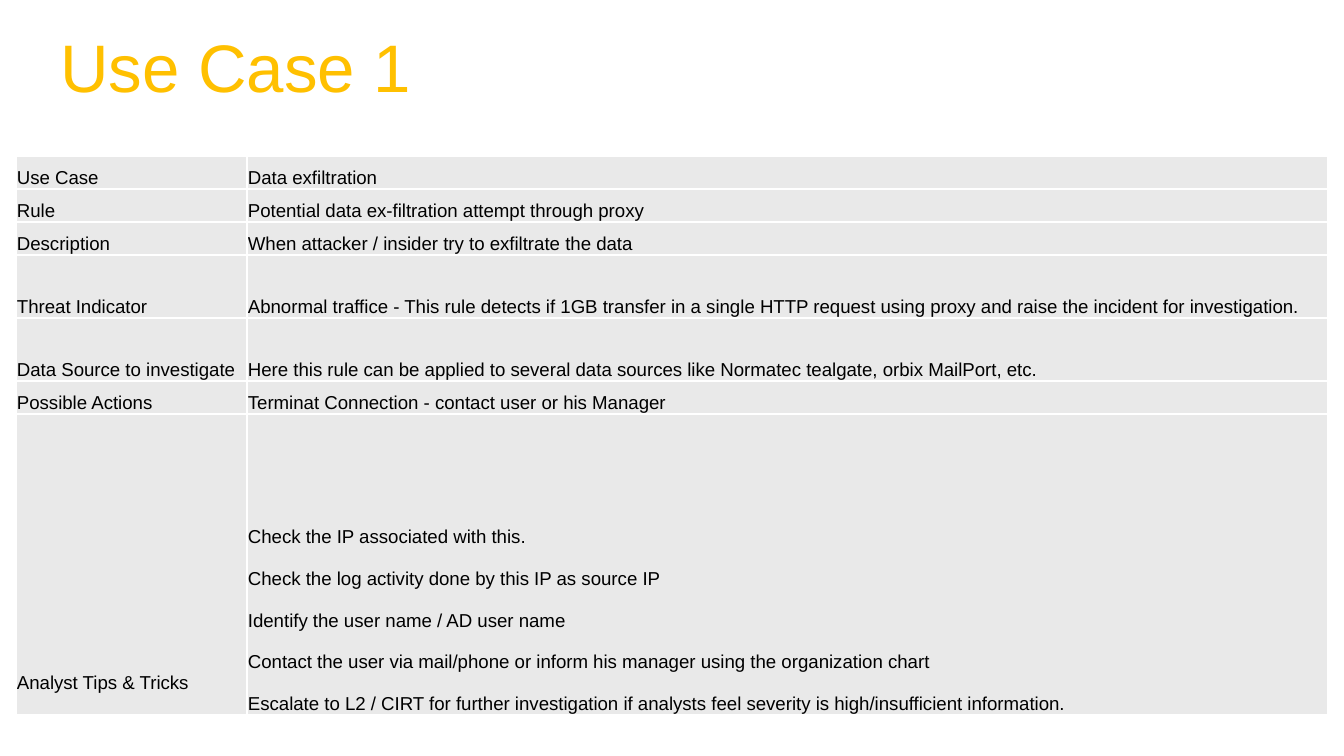
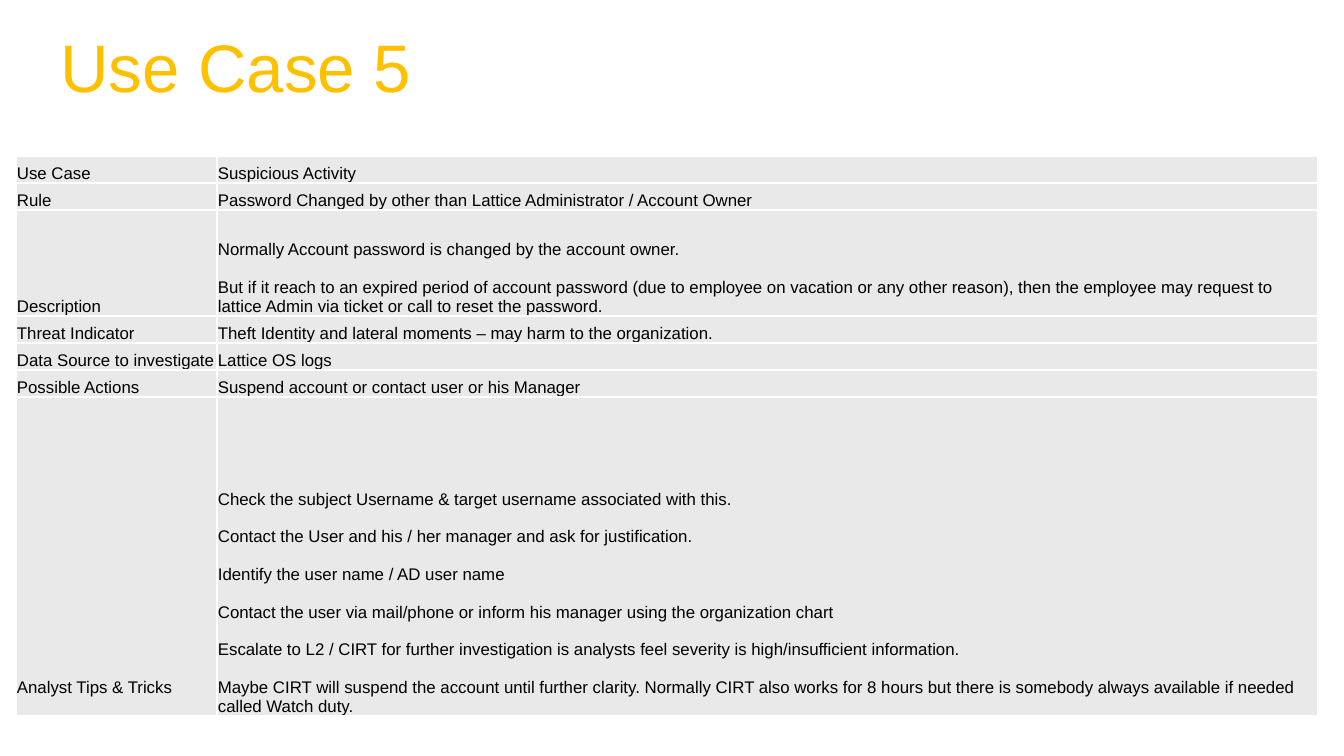
from lxml.etree import SubElement as Sub
from pptx import Presentation
from pptx.dml.color import RGBColor as Rgb
from pptx.enum.text import MSO_ANCHOR as Anchor
from pptx.oxml.ns import qn
from pptx.util import Pt

HEADS = ["Use Case", "Rule", "Description", "Threat Indicator",
         "Data Source to investigate", "Possible Actions", "Analyst Tips & Tricks"]
CASES = [
    {"title": "Use Case 1", "size": 10, "cols": [231, 1081],
     "rows": [33, 33, 33, 63, 63, 33, 301],
     "cells": [
         ["Data exfiltration"],
         ["Potential data ex-filtration attempt through proxy"],
         ["When attacker / insider try to exfiltrate the data"],
         ["Abnormal traffice - This rule detects if 1GB transfer in a single HTTP request "
          "using proxy and raise the incident for investigation."],
         ["Here this rule can be applied to several data sources like "
          "Normatec tealgate, orbix MailPort, etc."],
         ["Terminat Connection - contact user or his Manager"],
         ["Check the IP associated with this.",
          "Check the log activity done by this IP as source IP",
          "Identify the user name / AD user name",
          "Contact the user via mail/phone or inform his manager using the organization chart",
          "Escalate to L2 / CIRT for further investigation if analysts feel severity is "
          "high/insufficient information."],
     ]},
    {"title": "Use Case 5", "size": 9, "cols": [201, 1101],
     "rows": [27, 27, 106, 27, 27, 27, 319],
     "cells": [
         ["Suspicious Activity"],
         ["Password Changed by other than Lattice Administrator / Account Owner"],
         ["Normally Account password is changed by the account owner.",
          "But if it reach to an expired period of account password (due to employee on "
          "vacation or any other reason), then the employee may request to lattice Admin "
          "via ticket or call to reset the password."],
         ["Theft Identity and lateral moments – may harm to the organization."],
         ["Lattice OS logs"],
         ["Suspend account or contact user or his Manager"],
         ["Check the subject Username & target username associated with this.",
          "Contact the User and his / her manager and ask for justification.",
          "Identify the user name / AD user name",
          "Contact the user via mail/phone or inform his manager using the organization chart",
          "Escalate to L2 / CIRT for further investigation is analysts feel severity is "
          "high/insufficient information.",
          "Maybe CIRT will suspend the account until further clarity. Normally CIRT also "
          "works for 8 hours but there is somebody always available if needed called "
          "Watch duty."],
     ]},
]
HUES = {"title": "FFC000", "text": "000000", "cell": "E9E9E9", "rule": "FFFFFF"}
FONT = "Arial"
LINE = 1.12


def px(n):
    return round(n * 914400 / 134.4)


def put(item, **vals):
    for key, val in vals.items():
        setattr(item, key, val)


def write(frame, lines, size, hue, gap=0, first=0):
    for i, line in enumerate(lines):
        para = frame.add_paragraph() if i else frame.paragraphs[0]
        para.space_before = Pt(gap if i else first)
        run = para.add_run()
        run.text = line
        put(run.font, name=FONT, size=Pt(size))
        run.font.color.rgb = Rgb.from_string(HUES[hue])


def edge(cell):
    props = cell._tc.get_or_add_tcPr()
    for i, side in enumerate(["lnL", "lnR", "lnT", "lnB"]):
        line = props.makeelement(qn(f"a:{side}"), {"w": str(Pt(1))})
        fill = Sub(line, qn("a:solidFill"))
        Sub(fill, qn("a:srgbClr"), val=HUES["rule"])
        props.insert(i, line)


def style(cell, lines, size, foot):
    put(cell, margin_left=px(1), margin_right=px(1), margin_top=px(1),
        margin_bottom=Pt(foot), vertical_anchor=Anchor.BOTTOM)
    cell.fill.solid()
    cell.fill.fore_color.rgb = Rgb.from_string(HUES["cell"])
    edge(cell)
    write(cell.text_frame, lines, size, "text", gap=size * LINE)


def build(deck, case):
    slide = deck.slides.add_slide(deck.slide_layouts[6])
    box = slide.shapes.add_textbox(px(47), px(23), px(942), px(85))
    put(box.text_frame, word_wrap=True, vertical_anchor=Anchor.MIDDLE)
    write(box.text_frame, [case["title"]], 36, "title", first=7)

    cols, rows, size = case["cols"], case["rows"], case["size"]
    table = slide.shapes.add_table(len(rows), len(cols), px(16), px(156),
                                   px(sum(cols)), px(sum(rows))).table
    put(table, first_row=False, horz_banding=False)
    for col, wide in zip(table.columns, cols):
        col.width = px(wide)
    for row, tall, head, lines in zip(table.rows, rows, HEADS, case["cells"]):
        row.height = px(tall)
        foot = size * LINE if head == HEADS[-1] else 0
        style(row.cells[0], [head], size, foot)
        style(row.cells[1], lines, size, 0)


def main():
    deck = Presentation()
    put(deck, slide_width=px(1344), slide_height=px(756))
    for case in CASES:
        build(deck, case)
    deck.save("out.pptx")


if __name__ == "__main__":
    main()
